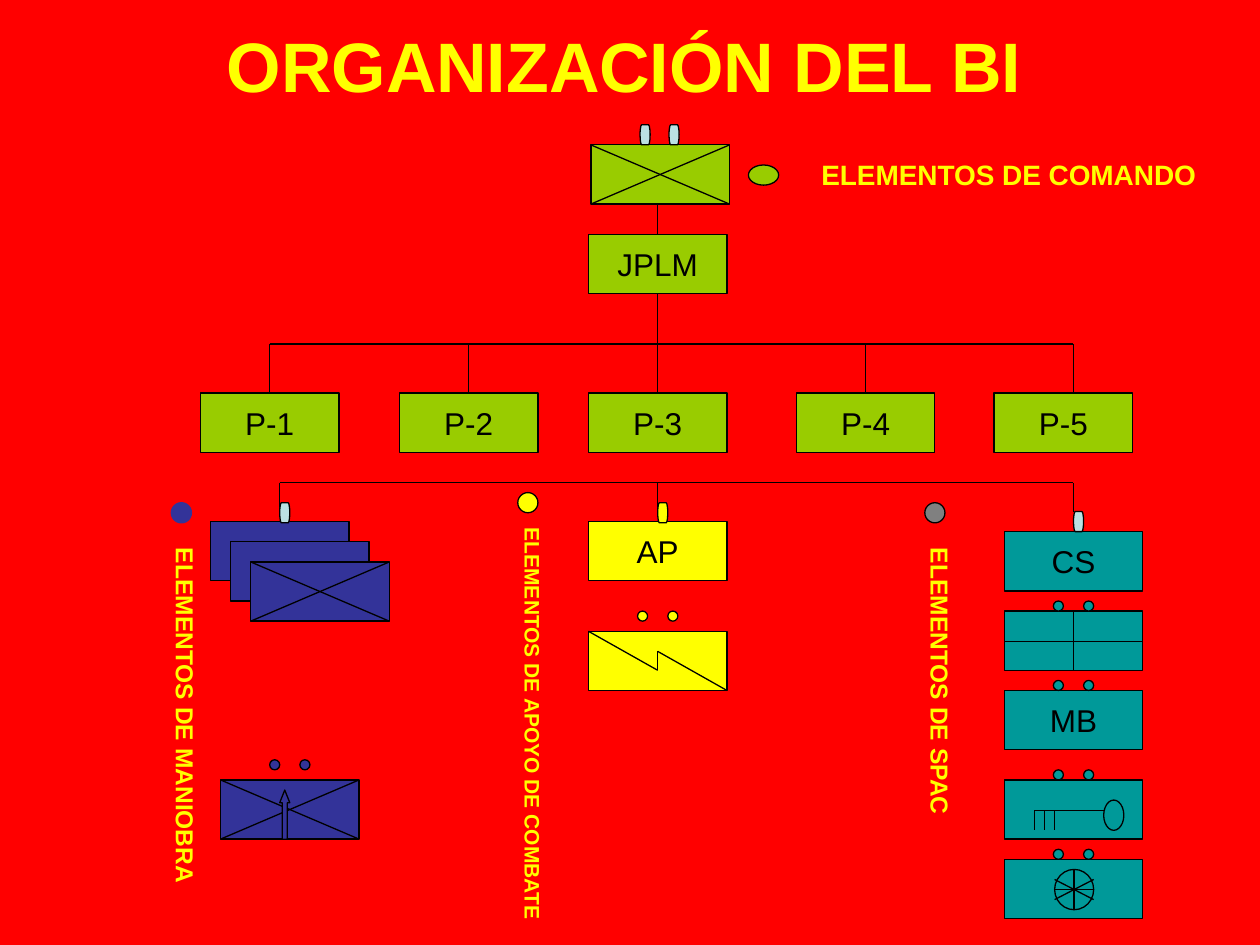
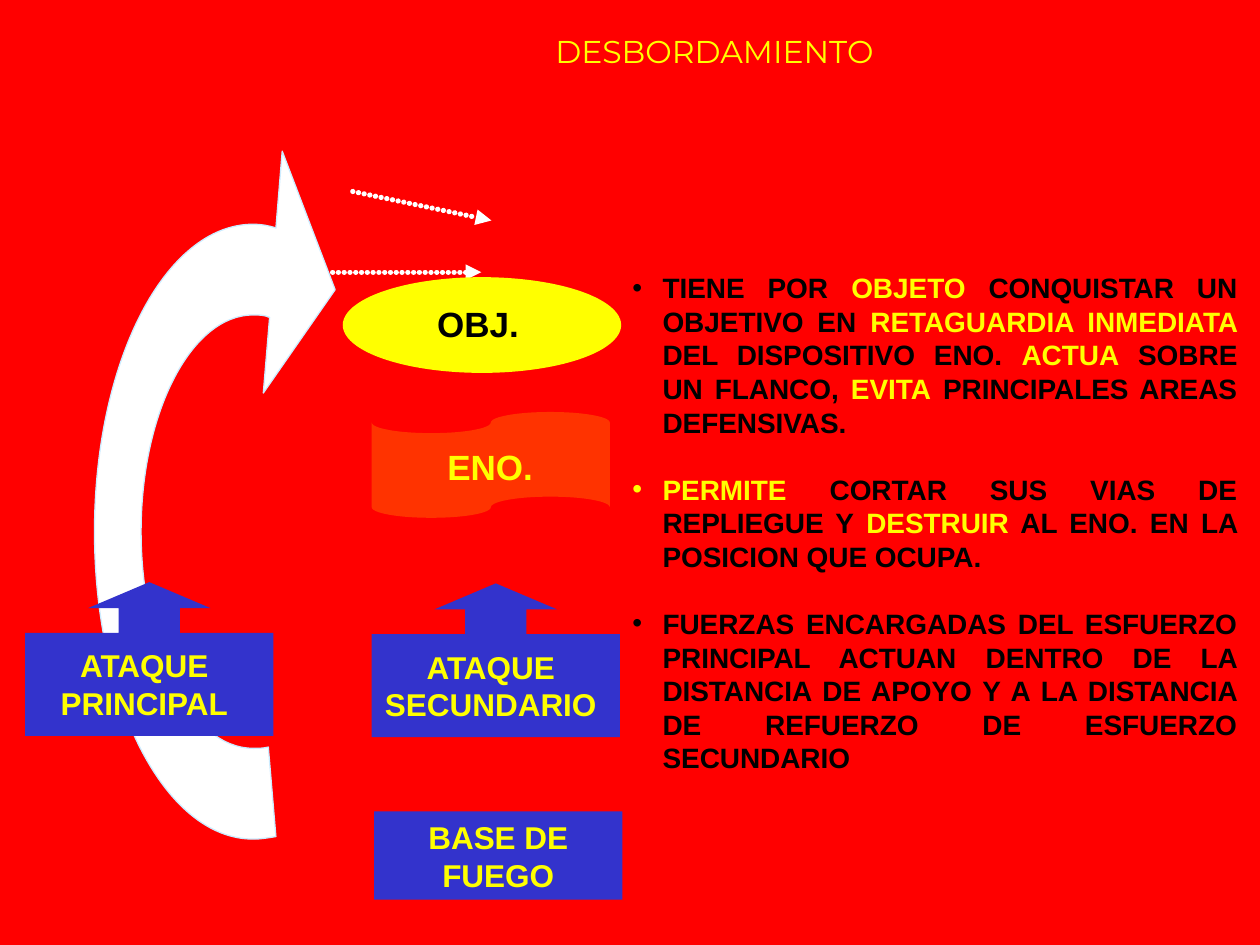
"""Build two slides: the organisation of an infantry battalion and the enveloping attack."""
from lxml import etree
from pptx import Presentation
from pptx.dml.color import RGBColor
from pptx.enum.shapes import MSO_CONNECTOR, MSO_SHAPE
from pptx.enum.text import MSO_ANCHOR, MSO_AUTO_SIZE, PP_ALIGN
from pptx.oxml.ns import qn
from pptx.util import Pt

RECT = MSO_SHAPE.RECTANGLE
OVAL = MSO_SHAPE.OVAL
MAST = MSO_SHAPE.FLOWCHART_TERMINATOR
WHEEL = MSO_SHAPE.FLOWCHART_OR
TAPE = MSO_SHAPE.FLOWCHART_PUNCHED_TAPE
ARROW = MSO_SHAPE.UP_ARROW
CALLOUT = MSO_SHAPE.UP_ARROW_CALLOUT
STRAIGHT = MSO_CONNECTOR.STRAIGHT
TOP, MIDDLE = MSO_ANCHOR.TOP, MSO_ANCHOR.MIDDLE
LEFT, CENTER, JUSTIFY = PP_ALIGN.LEFT, PP_ALIGN.CENTER, PP_ALIGN.JUSTIFY
NO_FIT, GROW = MSO_AUTO_SIZE.NONE, MSO_AUTO_SIZE.SHAPE_TO_FIT_TEXT
PX = 9144
FONT = "Arial"
COLORS = {
    "red": "FF0000", "yellow": "FFFF00", "black": "000000", "white": "FFFFFF",
    "green": "99CC00", "teal": "009999", "navy": "333399", "gray": "808080",
    "ice": "BBE0E3", "sky": "CCECFF", "orange": "FF3300", "blue": "3333CC",
}
RGB = {name: RGBColor.from_string(value) for name, value in COLORS.items()}


def add_box(page, kind, place, fill=None, outline=None, text="", size=18,
            color="black", bold=False, align=CENTER, wrap=False):
    """Add a preset shape, or a text box when kind is None, with optional text."""
    sides = [side * PX for side in place]
    if kind is None:
        box = page.shapes.add_textbox(*sides)
    else:
        box = page.shapes.add_shape(kind, *sides)
        box.shadow.inherit = False
        box.fill.solid()
        box.fill.fore_color.rgb = RGB[fill]
        if outline:
            box.line.color.rgb = RGB[outline]
            box.line.width = Pt(0.75)
        else:
            box.line.fill.background()
    if text:
        frame = box.text_frame
        frame.word_wrap = wrap
        frame.auto_size = GROW if kind is None else NO_FIT
        frame.vertical_anchor = TOP if kind is None else MIDDLE
        para = frame.paragraphs[0]
        para.alignment = align
        if wrap:
            para.line_spacing = Pt(1.2 * size)
        span = para.add_run()
        span.text = text
        span.font.name, span.font.size, span.font.bold = FONT, Pt(size), bold
        span.font.color.rgb = RGB[color]
    return box


def add_line(page, ends, color="black", width=0.75, start=None, end=None):
    """Add a straight connector, joined to the (shape, side) pairs given."""
    line = page.shapes.add_connector(STRAIGHT, *[value * PX for value in ends])
    line.line.color.rgb = RGB[color]
    line.line.width = Pt(width)
    etree.SubElement(line._element.spPr, qn("a:effectLst"))
    if start:
        line.begin_connect(*start)
    if end:
        line.end_connect(*end)
    return line


deck = Presentation()
deck.slide_width, deck.slide_height = 1000 * PX, 750 * PX
background = deck.slide_master.background.fill
background.solid()
background.fore_color.rgb = RGB["red"]

pages = []
for words, place, size, font, bold, align in [
    ("ORGANIZACIÓN DEL BI", (170, 13, 652, 77), 40, FONT, True, LEFT),
    ("DESBORDAMIENTO", (264, 20, 606, 94), 18, "Montserrat", False, CENTER),
]:
    page = deck.slides.add_slide(deck.slide_layouts[5])
    title = page.shapes.title
    title.left, title.top, title.width, title.height = [side * PX for side in place]
    frame = title.text_frame
    frame.word_wrap, frame.auto_size, frame.vertical_anchor = False, NO_FIT, TOP
    para = frame.paragraphs[0]
    para.alignment = align
    span = para.add_run()
    span.text = words
    span.font.name, span.font.size, span.font.bold = font, Pt(size), bold
    span.font.color.rgb = RGB["yellow"]
    pages.append(page)
chart_page, attack_page = pages

UNIT_W, UNIT_H = 110, 47
units = {}
for name, left, top, fill, text in [
    ("command", 469, 115, "green", ""),
    ("staff", 467, 186, "green", "JPLM"),
    ("support", 467, 414, "yellow", "AP"),
    ("signals", 467, 501, "yellow", ""),
    ("company 1", 167, 414, "navy", ""),
    ("company 2", 183, 430, "navy", ""),
    ("company 3", 199, 446, "navy", ""),
    ("scouts", 175, 619, "navy", ""),
    ("services", 797, 422, "teal", "CS"),
    ("medical", 797, 485, "teal", ""),
    ("materiel", 797, 548, "teal", "MB"),
    ("maintenance", 797, 619, "teal", ""),
    ("transport", 797, 682, "teal", ""),
]:
    units[name] = add_box(chart_page, RECT, (left, top, UNIT_W, UNIT_H), fill, "black", text)

STAFF_BUS, UNIT_BUS = 273, 383
add_line(chart_page, (214, STAFF_BUS, 852, STAFF_BUS))
add_line(chart_page, (222, UNIT_BUS, 852, UNIT_BUS))
add_line(chart_page, (522, 162, 522, 186), end=(units["staff"], 0))
add_line(chart_page, (522, 233, 522, STAFF_BUS), start=(units["staff"], 2))
for number, (left, drop) in enumerate(
        [(159, 214), (317, 372), (467, 522), (632, 687), (789, 852)], 1):
    section = add_box(chart_page, RECT, (left, 312, UNIT_W, UNIT_H), "green", "black", f"P-{number}")
    centered = drop == left + UNIT_W // 2
    add_line(chart_page, (drop, STAFF_BUS, drop, 312), end=(section, 0) if centered else None)
for drop in (222, 522, 852):
    add_line(chart_page, (drop, UNIT_BUS, drop, 406))

for left, top in [(469, 115), (199, 446), (175, 619)]:
    right, bottom = left + UNIT_W, top + UNIT_H
    add_line(chart_page, (left, top, right, bottom))
    add_line(chart_page, (right, top, left, bottom))

add_box(chart_page, WHEEL, (837, 690, 31, 32), "teal", "black")
add_box(chart_page, OVAL, (876, 635, 16, 24), "teal", "black")
scout_arrow = add_box(chart_page, ARROW, (222, 627, 8, 39), "navy", "black")
scout_arrow.adjustments[0], scout_arrow.adjustments[1] = 0.5, 1.26
for ends in [
    (467, 501, 522, 532), (577, 548, 522, 517), (522, 517, 522, 532),
    (852, 485, 852, 532), (907, 509, 797, 509),
    (868, 698, 837, 714), (837, 698, 868, 714),
    (876, 643, 821, 643),
    *[(tooth, 643, tooth, 659) for tooth in (821, 829, 837)],
]:
    add_line(chart_page, ends)

for left, top, fill in [
    (214, 603, "navy"), (506, 485, "yellow"),
    *[(836, top, "teal") for top in (477, 540, 611, 674)],
]:
    for dot_left in (left, left + 24):
        add_box(chart_page, OVAL, (dot_left, top, 8, 8), fill, "black")
for left, top, fill in [
    (222, 399, "ice"), (522, 399, "yellow"), (852, 406, "ice"), (508, 99, "ice"), (531, 99, "ice"),
]:
    add_box(chart_page, MAST, (left, top, 8, 16), fill, "black")
for place, fill, outline in [
    ((594, 131, 24, 16), "green", "black"), ((136, 399, 16, 16), "navy", "navy"),
    ((411, 391, 16, 16), "yellow", "black"), ((734, 399, 16, 16), "gray", "black"),
]:
    add_box(chart_page, OVAL, place, fill, outline)
for text, place, size, vertical in [
    ("ELEMENTOS DE COMANDO", (642, 120, 318, 37), 16, False),
    ("ELEMENTOS DE MANIOBRA", (121, 425, 43, 277), 14, True),
    ("ELEMENTOS DE APOYO DE COMBATE", (398, 409, 40, 323), 12, True),
    ("ELEMENTOS DE SPAC", (720, 425, 43, 224), 14, True),
]:
    legend = add_box(chart_page, None, place, text=text, size=size, color="yellow", bold=True, align=LEFT)
    if vertical:
        frame = legend.text_frame
        frame._txBody.bodyPr.set("vert", "eaVert")
        frame.margin_left = frame.margin_right = 5 * PX
        frame.margin_top = frame.margin_bottom = 5 * PX

sweep_start = (214, 252)
inner_curves = [
    (210, 250), (205, 250), (201, 250), (152, 250), (112, 327), (112, 422),
    (112, 517), (152, 594), (201, 594), (205, 594), (209, 594), (213, 593),
]
outer_curves = [
    (213, 665), (207, 666), (201, 666), (131, 666), (75, 557), (75, 422),
    (75, 287), (131, 178), (201, 178), (207, 178), (213, 179), (219, 181),
]
arrow_head = [(224, 120), (266, 230), (209, 312)]
sweep_points = inner_curves + [(219, 664)] + outer_curves + arrow_head
builder = attack_page.shapes.build_freeform(*[value * PX for value in sweep_start])
builder.add_line_segments([(x * PX, y * PX) for x, y in sweep_points], close=True)
sweep = builder.convert_to_shape()
segments = list(sweep._element.iter(qn("a:lnTo")))
for first in (0, 3, 6, 9, 13, 16, 19, 22):
    curve = etree.Element(qn("a:cubicBezTo"))
    segments[first].addprevious(curve)
    for segment in segments[first:first + 3]:
        curve.append(segment[0])
        segment.getparent().remove(segment)
sweep.shadow.inherit = False
sweep.fill.solid()
sweep.fill.fore_color.rgb = RGB["white"]
sweep.line.color.rgb = RGB["sky"]
sweep.line.width = Pt(0.75)

for ends in [(264, 216, 382, 216), (280, 152, 390, 175)]:
    advance = add_line(attack_page, ends, "white", 3)
    outline = advance.line._get_or_add_ln()
    outline.set("cap", "rnd")
    dots = etree.SubElement(outline, qn("a:custDash"))
    etree.SubElement(dots, qn("a:ds"), d="100000", sp="10000")
    etree.SubElement(outline, qn("a:tailEnd"), type="triangle")

add_box(attack_page, OVAL, (272, 220, 221, 76), "yellow")
add_box(attack_page, TAPE, (295, 327, 189, 84), "orange")
for left, top in [(295, 463), (20, 462)]:
    callout = add_box(attack_page, CALLOUT, (left, top, 197, 122), "blue")
    for index, value in enumerate((0.4, 0.4, 0.17, 0.67)):
        callout.adjustments[index] = value
add_box(attack_page, RECT, (297, 644, 197, 70), "blue", text="BASE DE FUEGO",
        color="yellow", bold=True, wrap=True)
for text, place, size, color in [
    ("OBJ.", (301, 235, 157, 44), 20, "black"),
    ("ENO.", (310, 349, 158, 44), 20, "yellow"),
    ("ATAQUE SECUNDARIO", (295, 509, 189, 70), 18, "yellow"),
    ("ATAQUE PRINCIPAL", (20, 508, 189, 70), 18, "yellow"),
]:
    add_box(attack_page, None, place, text=text, size=size, color=color, bold=True, wrap=True)

points = [
    [("TIENE POR ", "black"), ("OBJETO", "yellow"), (" CONQUISTAR UN OBJETIVO EN ", "black"),
     ("RETAGUARDIA INMEDIATA ", "yellow"), ("DEL DISPOSITIVO ENO. ", "black"),
     ("ACTUA", "yellow"), (" SOBRE UN FLANCO, ", "black"), ("EVITA", "yellow"),
     (" PRINCIPALES AREAS DEFENSIVAS.", "black")],
    [("PERMITE", "yellow"), (" CORTAR SUS VIAS DE REPLIEGUE Y ", "black"),
     ("DESTRUIR", "yellow"), (" AL ENO. EN LA POSICION QUE OCUPA.", "black")],
    [("FUERZAS ENCARGADAS DEL ESFUERZO PRINCIPAL ACTUAN DENTRO DE LA DISTANCIA DE APOYO "
      "Y A LA DISTANCIA DE REFUERZO DE ESFUERZO SECUNDARIO", "black")],
]
frame = add_box(attack_page, None, (492, 210, 500, 383)).text_frame
frame.word_wrap, frame.auto_size = True, GROW
for index, spans in enumerate(points):
    para = frame.add_paragraph() if index else frame.paragraphs[0]
    para.alignment = JUSTIFY
    para.line_spacing = Pt(19.2)
    para.space_before = Pt(19.2 if index else 0)
    layout = para._p.get_or_add_pPr()
    layout.set("marL", str(24 * PX))
    layout.set("indent", str(-24 * PX))
    bullet_color = etree.SubElement(layout, qn("a:buClr"))
    etree.SubElement(bullet_color, qn("a:srgbClr"), val=COLORS[spans[0][1]])
    etree.SubElement(layout, qn("a:buFont"), typeface=FONT)
    etree.SubElement(layout, qn("a:buChar"), char="•")
    for words, color in spans:
        span = para.add_run()
        span.text = words
        span.font.name, span.font.size, span.font.bold = FONT, Pt(16), True
        span.font.color.rgb = RGB[color]

deck.save("out.pptx")
